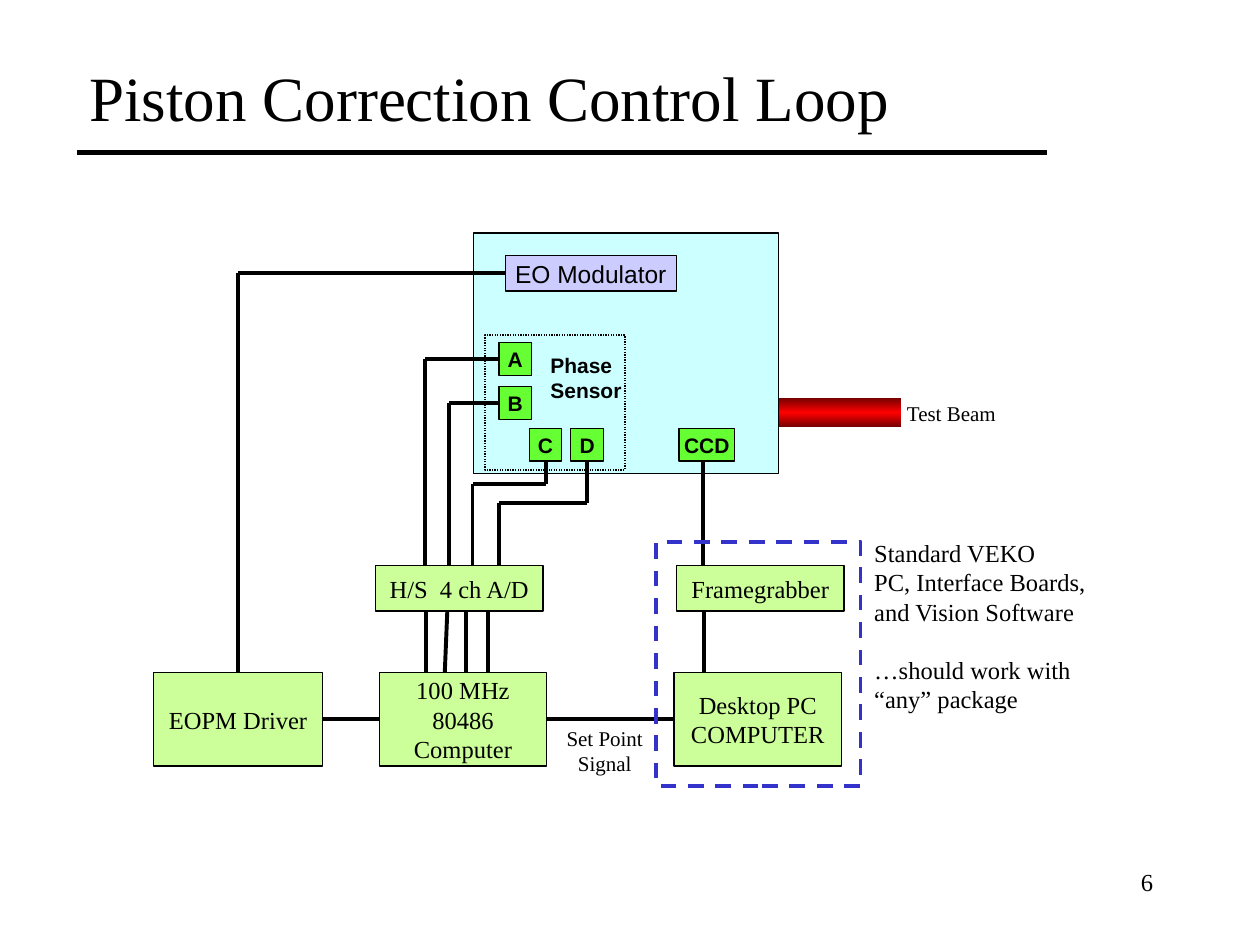
import copy
import itertools
import lxml.etree
import pptx
import pptx.dml.color
import pptx.enum.dml
import pptx.enum.shapes
import pptx.enum.text
import pptx.oxml.ns
import pptx.util

Inches = pptx.util.Inches
Pt = pptx.util.Pt
RGB = pptx.dml.color.RGBColor.from_string
Align = pptx.enum.text.PP_ALIGN
Anchor = pptx.enum.text.MSO_ANCHOR
Dash = pptx.enum.dml.MSO_LINE
Rect = pptx.enum.shapes.MSO_SHAPE.RECTANGLE
Straight = pptx.enum.shapes.MSO_CONNECTOR.STRAIGHT
qn = pptx.oxml.ns.qn

color = {
    "ink": "000000", "bench": "CCFFFF", "unit": "CCFF99", "sensor": "66FF33",
    "mod": "CCCCFF", "frame": "3333CC", "edge": "750000", "beam": "FF0000",
}
serif, sans = "Times New Roman", "Arial"

deck = pptx.Presentation()
deck.slide_width, deck.slide_height = Inches(10), Inches(7.5)
slide = deck.slides.add_slide(deck.slide_layouts[5])
shapes = slide.shapes


def write(shape, text, size=14, font=serif, bold=False, align=Align.LEFT,
          anchor=Anchor.TOP, wrap=True):
    frame = shape.text_frame
    frame.text = text
    frame.word_wrap = wrap
    frame.vertical_anchor = anchor
    for para in frame.paragraphs:
        para.alignment = align
        para.font.size = Pt(size)
        para.font.name = font
        para.font.bold = bold
        para.font.color.rgb = RGB(color["ink"])
    return frame


def box(place, fill=None, line="ink", width=0.75, dash=None):
    shape = shapes.add_shape(Rect, *map(Inches, place))
    shape.shadow.inherit = False
    if fill:
        shape.fill.solid()
        shape.fill.fore_color.rgb = RGB(color[fill])
    else:
        shape.fill.background()
    shape.line.color.rgb = RGB(color[line])
    shape.line.width = Pt(width)
    if dash:
        shape.line.dash_style = dash
    return shape


title = shapes.title
title.left, title.top, title.width, title.height = map(Inches, (0.61, 0.32, 7.71, 0.89))
write(title, "Piston Correction Control Loop", size=36, anchor=Anchor.MIDDLE)

beam = box((6.12, 3.16, 1.03, 0.23))
beam.line.fill.background()
beam.fill.gradient()
beam.fill.gradient_angle = 90
first, mid = beam.fill.gradient_stops
first.color.rgb = RGB(color["edge"])
mid.color.rgb = RGB(color["beam"])
first.position, mid.position = 0, 0.5
stops = beam._element.spPr.find(qn("a:gradFill")).find(qn("a:gsLst"))
last = copy.deepcopy(stops[0])
last.set("pos", "100000")
stops.append(last)

box((3.76, 1.85, 2.42, 1.91), "bench")
box((3.85, 2.66, 1.11, 1.07), dash=Dash.ROUND_DOT)

unit = dict(size=14, font=serif)
chip = dict(size=12, font=sans, bold=True)
nodes = {}
for name, text, place, fill, style in [
    ("mod", "EO Modulator", (4.01, 2.03, 1.36, 0.28), "mod", dict(font=sans)),
    ("a", "A", (3.96, 2.72, 0.26, 0.26), "sensor", chip),
    ("b", "B", (3.96, 3.07, 0.26, 0.26), "sensor", chip),
    ("c", "C", (4.2, 3.4, 0.26, 0.26), "sensor", chip),
    ("d", "D", (4.53, 3.4, 0.26, 0.26), "sensor", chip),
    ("ccd", "CCD", (5.39, 3.4, 0.44, 0.26), "sensor", chip),
    ("adc", "H/S  4 ch A/D", (2.98, 4.49, 1.33, 0.36), "unit", unit),
    ("grab", "Framegrabber", (5.37, 4.49, 1.33, 0.36), "unit", unit),
    ("driver", "EOPM Driver", (1.22, 5.34, 1.34, 0.74), "unit", unit),
    ("host", "100 MHz\n80486\nComputer", (3.01, 5.34, 1.33, 0.74), "unit", unit),
    ("pc", "Desktop PC\nCOMPUTER", (5.35, 5.34, 1.33, 0.74), "unit", unit),
]:
    nodes[name] = box(place, fill)
    write(nodes[name], text, align=Align.CENTER, anchor=Anchor.MIDDLE, wrap=False, **style)

for points, start, end, width in [
    ([(0.61, 1.21), (8.31, 1.21)], None, None, 3),
    ([(4.01, 2.17), (1.89, 2.17), (1.89, 5.34)], ("mod", 1), ("driver", 0), 2.25),
    ([(3.96, 2.85), (3.37, 2.85), (3.37, 4.49)], ("a", 1), None, 2.25),
    ([(3.96, 3.2), (3.56, 3.2), (3.56, 4.49)], ("b", 1), None, 2.25),
    ([(4.33, 3.66), (4.33, 3.84), (3.75, 3.84), (3.75, 4.49)], ("c", 2), None, 2.25),
    ([(4.66, 3.66), (4.66, 3.99), (3.96, 3.99), (3.96, 4.49)], ("d", 2), None, 2.25),
    ([(3.38, 4.85), (3.38, 5.34)], None, None, 2.25),
    ([(3.55, 4.85), (3.53, 5.34)], None, None, 2.25),
    ([(3.7, 4.85), (3.7, 5.34)], None, None, 2.25),
    ([(3.87, 4.85), (3.87, 5.34)], None, None, 2.25),
    ([(5.58, 3.66), (5.58, 4.49)], None, None, 2.25),
    ([(5.59, 4.85), (5.59, 5.34)], None, None, 2.25),
    ([(2.56, 5.71), (3.01, 5.71)], ("driver", 3), ("host", 1), 2.25),
    ([(4.34, 5.71), (5.35, 5.71)], ("host", 3), ("pc", 1), 2.25),
]:
    wires = []
    for tail, head in itertools.pairwise(points):
        wire = shapes.add_connector(Straight, *map(Inches, tail + head))
        wire.line.color.rgb = RGB(color["ink"])
        wire.line.width = Pt(width)
        lxml.etree.SubElement(wire._element.spPr, qn("a:effectLst"))
        wires.append(wire)
    if start:
        wires[0].begin_connect(nodes[start[0]], start[1])
    if end:
        wires[-1].end_connect(nodes[end[0]], end[1])

box((5.21, 4.3, 1.62, 1.94), line="frame", width=2.25, dash=Dash.DASH)

notes = "Standard VEKO\nPC, Interface Boards,\nand Vision Software\n…should work with\n“any” package"
for text, place, style in [
    ("Phase\nSensor", (4.27, 2.75, 0.86, 0.5), chip),
    ("Set Point\nSignal", (4.35, 5.71, 0.9, 0.5), dict(size=12, align=Align.CENTER)),
    ("Test Beam", (7.1, 3.13, 1, 0.3), dict(size=12)),
    ("6", (7.17, 6.83, 2.08, 0.5), dict(align=Align.RIGHT)),
    (notes, (6.84, 4.22, 2, 1.5), unit),
]:
    frame = write(shapes.add_textbox(*map(Inches, place)), text, **style)
    if text == notes:
        frame.paragraphs[3].space_before = Pt(16.5)

deck.save("out.pptx")
